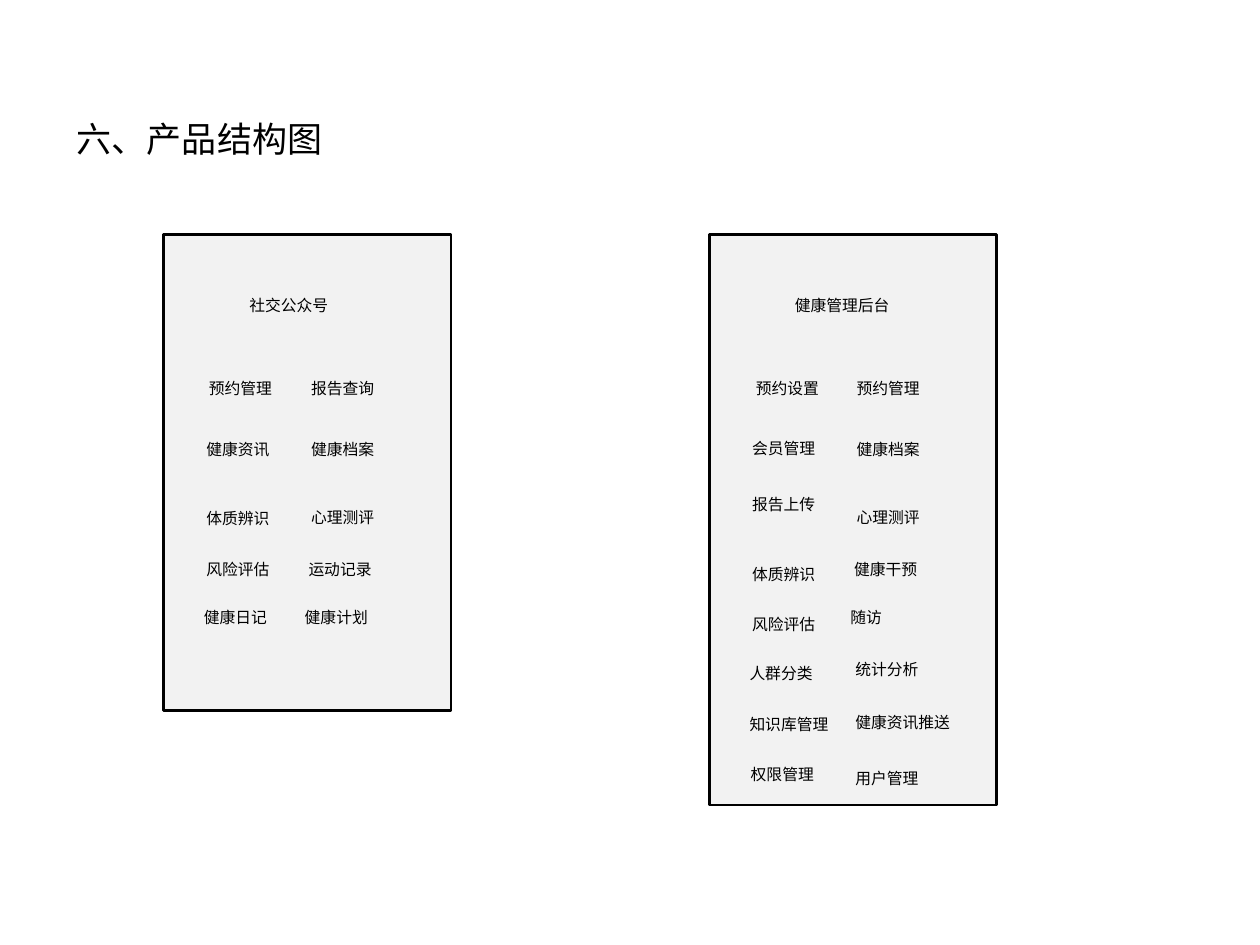
from pptx import Presentation
from pptx.dml.color import RGBColor
from pptx.enum.shapes import MSO_SHAPE
from pptx.enum.text import MSO_ANCHOR, MSO_AUTO_SIZE, PP_ALIGN
from pptx.util import Inches, Pt

RECT = MSO_SHAPE.RECTANGLE
TOP = MSO_ANCHOR.TOP
LEFT = PP_ALIGN.LEFT
GROW = MSO_AUTO_SIZE.SHAPE_TO_FIT_TEXT

COLORS = {"text": "000000", "line": "000000", "panel": "F2F2F2"}
FONT = "Karla"
TITLE = "六、产品结构图"
PANEL_TOP, PANEL_WIDTH = 1.86, 2.28
HEADING_X, HEADING_Y = 0.58, 2.3
LABEL_HEIGHT = 0.25

PANELS = [
    {"left": 1.3, "height": 3.78, "heading": "社交公众号", "items": [
        ("预约管理", 0.26, 2.96), ("报告查询", 1.07, 2.96),
        ("健康资讯", 0.24, 3.44), ("健康档案", 1.07, 3.44),
        ("体质辨识", 0.24, 3.99), ("心理测评", 1.07, 3.98),
        ("风险评估", 0.24, 4.39), ("运动记录", 1.05, 4.39),
        ("健康日记", 0.22, 4.77), ("健康计划", 1.02, 4.77),
    ]},
    {"left": 5.63, "height": 4.53, "heading": "健康管理后台", "items": [
        ("预约设置", 0.27, 2.96), ("预约管理", 1.07, 2.96),
        ("会员管理", 0.24, 3.43), ("健康档案", 1.07, 3.44),
        ("报告上传", 0.24, 3.88), ("心理测评", 1.07, 3.98),
        ("体质辨识", 0.24, 4.43), ("健康干预", 1.05, 4.39),
        ("风险评估", 0.24, 4.83), ("随访", 1.02, 4.77),
        ("人群分类", 0.22, 5.22), ("统计分析", 1.06, 5.19),
        ("知识库管理", 0.22, 5.62), ("健康资讯推送", 1.06, 5.61),
        ("权限管理", 0.23, 6.02), ("用户管理", 1.06, 6.05),
    ]},
]


def rgb(name):
    return RGBColor.from_string(COLORS[name])


def write(tf, text, size=9):
    tf.word_wrap = True
    tf.vertical_anchor = TOP
    p = tf.paragraphs[0]
    p.alignment = LEFT
    r = p.add_run()
    r.text = text
    r.font.name = FONT
    r.font.size = Pt(size)
    r.font.color.rgb = rgb("text")


def add_label(s, text, x, y):
    width = 1.04 if len(text) > 5 else 0.85
    sp = s.shapes.add_textbox(Inches(x), Inches(y), Inches(width), Inches(LABEL_HEIGHT))
    write(sp.text_frame, text)
    sp.text_frame.auto_size = GROW


def add_panel(s, left, height, heading, items):
    sp = s.shapes.add_shape(RECT, Inches(left), Inches(PANEL_TOP),
                            Inches(PANEL_WIDTH), Inches(height))
    sp.shadow.inherit = False
    sp.fill.solid()
    sp.fill.fore_color.rgb = rgb("panel")
    sp.line.color.rgb = rgb("line")
    sp.line.width = Pt(1.5)
    for text, x, y in [(heading, HEADING_X, HEADING_Y)] + items:
        add_label(s, text, left + x, y)


prs = Presentation()
prs.slide_width, prs.slide_height = Inches(10), Inches(7.5)
s = prs.slides.add_slide(prs.slide_layouts[5])

title = s.shapes.title
title.left, title.top = Inches(0.51), Inches(0.88)
title.width, title.height = Inches(9), Inches(0.71)
write(title.text_frame, TITLE, size=20)

for panel in PANELS:
    add_panel(s, **panel)

prs.save("out.pptx")
